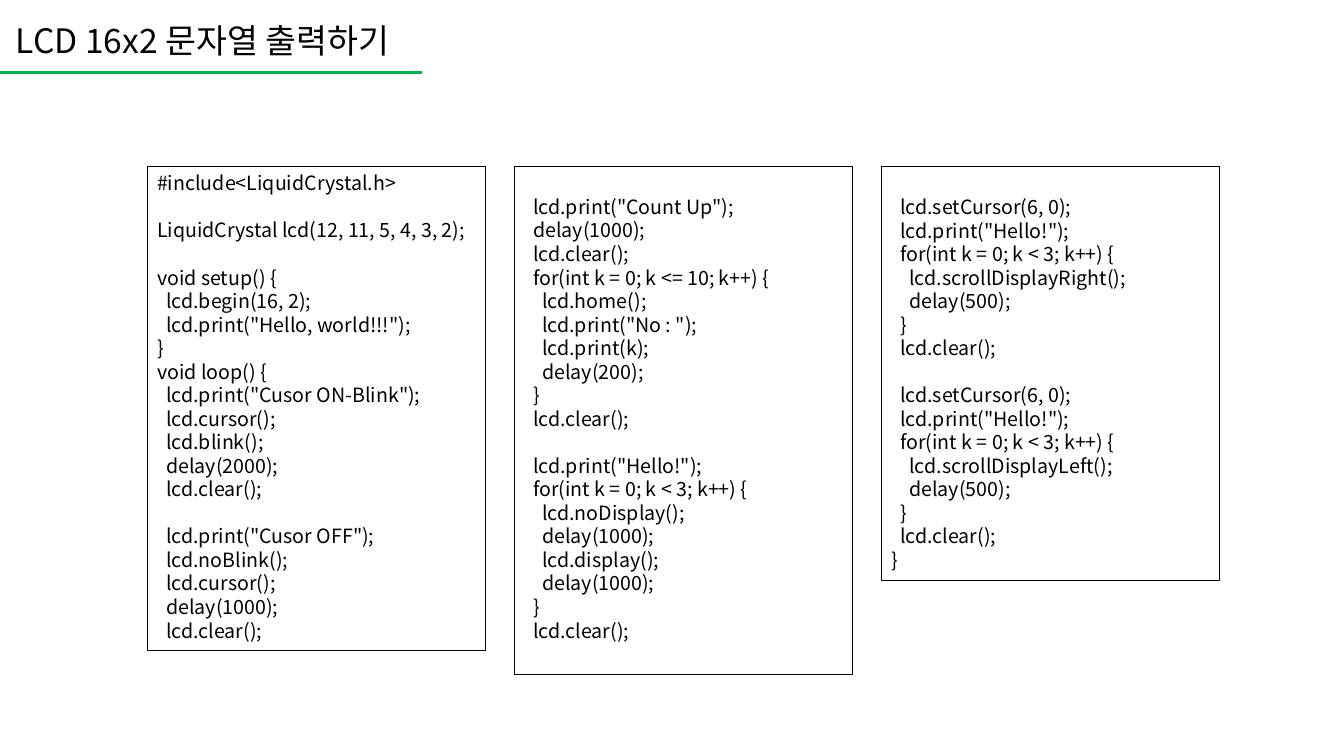
from pptx import Presentation
from pptx.dml.color import RGBColor
from pptx.enum.shapes import MSO_CONNECTOR as Connector, MSO_SHAPE as Shape
from pptx.enum.text import MSO_ANCHOR as Anchor, PP_ALIGN as Align
from pptx.oxml.ns import qn
from pptx.util import Inches, Pt
from lxml import etree

# Content: each code line is (indent level, text); None is an empty line
TITLE = "LCD 16x2 문자열 출력하기"
SETUP_CODE = [
    (0, "#include<LiquidCrystal.h>"),
    None,
    (0, "LiquidCrystal lcd(12, 11, 5, 4, 3, 2);"),
    None,
    (0, "void setup() {"),
    (1, "lcd.begin(16, 2);"),
    (1, 'lcd.print("Hello, world!!!");'),
    (0, "}"),
    (0, "void loop() {"),
    (1, 'lcd.print("Cusor ON-Blink");'),
    (1, "lcd.cursor();"),
    (1, "lcd.blink();"),
    (1, "delay(2000);"),
    (1, "lcd.clear();"),
    None,
    (1, 'lcd.print("Cusor OFF");'),
    (1, "lcd.noBlink();"),
    (1, "lcd.cursor();"),
    (1, "delay(1000);"),
    (1, "lcd.clear();"),
]
COUNT_CODE = [
    None,
    (1, 'lcd.print("Count Up");'),
    (1, "delay(1000);"),
    (1, "lcd.clear();"),
    (1, "for(int k = 0; k <= 10; k++) {"),
    (2, "lcd.home();"),
    (2, 'lcd.print("No : ");'),
    (2, "lcd.print(k);"),
    (2, "delay(200);"),
    (1, "}"),
    (1, "lcd.clear();"),
    None,
    (1, 'lcd.print("Hello!");'),
    (1, "for(int k = 0; k < 3; k++) {"),
    (2, "lcd.noDisplay();"),
    (2, "delay(1000);"),
    (2, "lcd.display();"),
    (2, "delay(1000);"),
    (1, "}"),
    (1, "lcd.clear();"),
    None,
]
SCROLL_CODE = [None]
for direction in ("Right", "Left"):
    SCROLL_CODE += [
        (1, "lcd.setCursor(6, 0);"),
        (1, 'lcd.print("Hello!");'),
        (1, "for(int k = 0; k < 3; k++) {"),
        (2, f"lcd.scrollDisplay{direction}();"),
        (2, "delay(500);"),
        (1, "}"),
        (1, "lcd.clear();"),
        None if direction == "Right" else (0, "}"),
    ]
LISTINGS = [SETUP_CODE, COUNT_CODE, SCROLL_CODE]

# Layout in inches, text sizes in points
FONT, BLACK, GREEN = "Noto Sans CJK KR", "000000", "00B050"
TITLE_SIZE, CODE_SIZE, LEADING = 24, 14, 1.2
LEFT, TOP, WIDTH, PITCH = 1.46, 1.65, 3.36, 3.64
ROW = CODE_SIZE * LEADING / 72
BOX_PADDING, INSET, INDENT = 0.14, 0.05, 0.09
RULE_Y, RULE_END = 0.72, 4.19


def color(value):
    return RGBColor.from_string(value)


def write(para, text, size):
    para.alignment = Align.LEFT
    para.line_spacing = Pt(size * LEADING)
    span = para.add_run()
    span.text = text
    span.font.size = Pt(size)
    span.font.name = FONT
    span.font.color.rgb = color(BLACK)
    east_asian = etree.SubElement(span.font._element, qn("a:ea"))
    east_asian.set("typeface", FONT)


def add_listing(page, column, lines):
    box = page.shapes.add_shape(
        Shape.RECTANGLE, Inches(LEFT + column * PITCH), Inches(TOP),
        Inches(WIDTH), Inches(len(lines) * ROW + BOX_PADDING))
    box.shadow.inherit = False
    box.fill.background()
    box.line.color.rgb = color(BLACK)
    box.line.width = Pt(0.75)
    frame = box.text_frame
    frame.word_wrap = True
    frame.vertical_anchor = Anchor.TOP
    # An empty first row becomes a deeper top inset
    leading_rows = 1 if lines[0] is None else 0
    frame.margin_top = Inches(INSET + leading_rows * ROW)
    para, gap = frame.paragraphs[0], 0
    for number, line in enumerate(lines[leading_rows:]):
        if line is None:
            gap += 1
            continue
        if number:
            para = frame.add_paragraph()
        level, text = line
        write(para, text, CODE_SIZE)
        properties = para._p.get_or_add_pPr()
        properties.set("marL", str(Inches(level * INDENT)))
        properties.set("indent", "0")
        if gap:
            para.space_before = Pt(gap * CODE_SIZE * LEADING)
            gap = 0


deck = Presentation()
deck.slide_width, deck.slide_height = Inches(13.33), Inches(7.5)
page = deck.slides.add_slide(deck.slide_layouts[6])

# Code listings
for column, lines in enumerate(LISTINGS):
    add_listing(page, column, lines)

# Title
title = page.shapes.add_textbox(Inches(0.06), Inches(0.13), Inches(4.21), Inches(0.5))
title.text_frame.word_wrap = False
title.text_frame.margin_top = Inches(0.07)
write(title.text_frame.paragraphs[0], TITLE, TITLE_SIZE)

# Rule under the title
rule = page.shapes.add_connector(
    Connector.STRAIGHT, 0, Inches(RULE_Y), Inches(RULE_END), Inches(RULE_Y))
rule.line.color.rgb = color(GREEN)
rule.line.width = Pt(1.75)
etree.SubElement(rule._element.spPr, qn("a:effectLst"))

deck.save("out.pptx")
